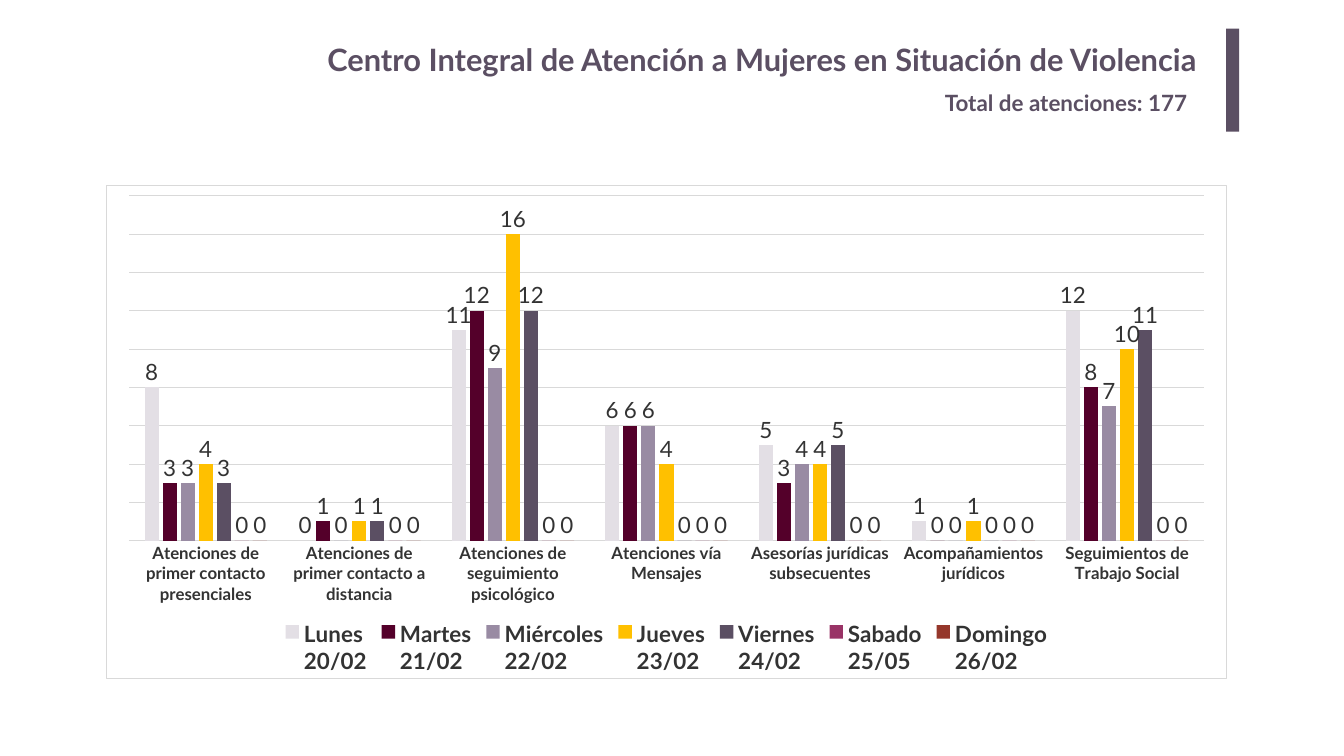
from lxml import etree
from pptx import Presentation
from pptx.chart.data import CategoryChartData
from pptx.dml.color import RGBColor
from pptx.enum.chart import XL_CHART_TYPE, XL_LABEL_POSITION, XL_LEGEND_POSITION, XL_TICK_MARK
from pptx.enum.shapes import MSO_SHAPE
from pptx.enum.text import MSO_ANCHOR, MSO_AUTO_SIZE, PP_ALIGN
from pptx.oxml import parse_xml
from pptx.oxml.ns import nsdecls
from pptx.util import Inches, Pt

FONT = "Lato"
COLORS = {"plum": "5B4F63", "text": "333333", "rule": "D9D9D9", "paper": "FFFFFF"}

SERVICES = [
    "Atenciones de primer contacto presenciales",
    "Atenciones de primer contacto a distancia",
    "Atenciones de seguimiento psicológico",
    "Atenciones vía Mensajes",
    "Asesorías jurídicas subsecuentes",
    "Acompañamientos jurídicos",
    "Seguimientos de Trabajo Social",
]
DAYS = [
    ("Lunes\n20/02", "E3DFE5", (8, 0, 11, 6, 5, 1, 12)),
    ("Martes\n21/02", "54002A", (3, 1, 12, 6, 3, 0, 8)),
    ("Miércoles\n22/02", "998BA3", (3, 0, 9, 6, 4, 0, 7)),
    ("Jueves\n23/02", "FFC000", (4, 1, 16, 4, 4, 1, 10)),
    ("Viernes\n24/02", "5B4F63", (3, 1, 12, 0, 5, 0, 11)),
    ("Sabado\n25/05", "993366", (0,) * 7),
    ("Domingo\n26/02", "95372B", (0,) * 7),
]


def rgb(name):
    return RGBColor.from_string(COLORS[name])


class SlideBuilder:
    def __init__(self, slide):
        self.slide = slide

    def style(self, font, size, color="text", bold=False):
        font.name, font.size, font.bold = FONT, Pt(size), bold
        font.color.rgb = rgb(color)

    def set_text(self, shape, text, size, align, margins):
        frame = shape.text_frame
        frame.word_wrap = True
        frame.auto_size = MSO_AUTO_SIZE.NONE
        frame.vertical_anchor = MSO_ANCHOR.MIDDLE
        frame.margin_left = frame.margin_right = Inches(margins[0])
        frame.margin_top = frame.margin_bottom = Inches(margins[1])
        frame.text = text
        paragraph = frame.paragraphs[0]
        paragraph.alignment = align
        paragraph.space_before = Pt(0)
        self.style(paragraph.font, size, "plum", True)

    def title(self, text, left, top, width, height):
        heading = self.slide.shapes.title
        heading.left, heading.top = Inches(left), Inches(top)
        heading.width, heading.height = Inches(width), Inches(height)
        self.set_text(heading, text, 44, PP_ALIGN.RIGHT, (0.2, 0.1))

    def label(self, text, *box):
        total = self.slide.shapes.add_textbox(*map(Inches, box))
        self.set_text(total, text, 32, PP_ALIGN.LEFT, (0.1, 0.05))

    def bar(self, *box):
        accent = self.slide.shapes.add_shape(MSO_SHAPE.RECTANGLE, *map(Inches, box))
        accent.shadow.inherit = False
        accent.fill.solid()
        accent.fill.fore_color.rgb = rgb("plum")
        accent.line.fill.background()

    def column_chart(self, categories, series, *box):
        data = CategoryChartData()
        data.categories = categories
        for name, _, values in series:
            data.add_series(name, values)
        chart = self.slide.shapes.add_chart(
            XL_CHART_TYPE.COLUMN_CLUSTERED, *map(Inches, box), data).chart
        chart.has_title = False
        self.style(chart.font, 10)
        chart.has_legend = True
        chart.legend.position = XL_LEGEND_POSITION.BOTTOM
        chart.legend.include_in_layout = False
        self.style(chart.legend.font, 32, bold=True)

        plot = chart.plots[0]
        plot.gap_width, plot.overlap, plot.vary_by_categories = 219, -27, False
        for day, (_, color, _) in zip(plot.series, series):
            day.format.fill.solid()
            day.format.fill.fore_color.rgb = RGBColor.from_string(color)
            labels = day.data_labels
            labels.show_value = True
            labels.position = XL_LABEL_POSITION.OUTSIDE_END
            self.style(labels.font, 32)
        self.axes(chart)
        self.frame_chart(chart)

    def axes(self, chart):
        services, counts = chart.category_axis, chart.value_axis
        services.major_tick_mark = services.minor_tick_mark = XL_TICK_MARK.NONE
        self.style(services.tick_labels.font, 24, bold=True)
        counts.visible = False
        counts.minimum_scale, counts.maximum_scale, counts.major_unit = 0, 18, 2
        counts.has_major_gridlines = True
        for line in (services.format.line, counts.major_gridlines.format.line):
            line.color.rgb = rgb("rule")
            line.width = Pt(0.75)

    def frame_chart(self, chart):
        """Give the chart its background and border, and place the plot in it."""
        chart_node = chart.element.find("{*}chart")
        chart_node.addnext(parse_xml(
            f'<c:spPr {nsdecls("c", "a")}>'
            f'<a:solidFill><a:srgbClr val="{COLORS["paper"]}"/></a:solidFill>'
            f'<a:ln w="{Pt(0.75)}"><a:solidFill><a:srgbClr val="{COLORS["rule"]}"/>'
            '</a:solidFill></a:ln></c:spPr>'))
        plot_area = chart_node.find("{*}plotArea")
        for layout in plot_area.findall("{*}layout"):
            plot_area.remove(layout)
        layout = parse_xml(f'<c:layout {nsdecls("c")}><c:manualLayout/></c:layout>')
        settings = {"layoutTarget": "inner", "xMode": "edge", "yMode": "edge",
                    "x": "0.02", "y": "0.02", "w": "0.96", "h": "0.7"}
        for tag, value in settings.items():
            etree.SubElement(layout[0], f"{{{layout.nsmap['c']}}}{tag}", val=value)
        plot_area.insert(0, layout)


def main():
    presentation = Presentation()
    presentation.slide_width, presentation.slide_height = Inches(26.67), Inches(15)
    title_only = presentation.slide_layouts[5]
    builder = SlideBuilder(presentation.slides.add_slide(title_only))
    builder.title("Centro Integral de Atención a Mujeres en Situación de Violencia",
                  3.66, 0.67, 20.3, 1.02)
    builder.bar(24.33, 0.57, 0.26, 2.04)
    builder.label("Total de atenciones: 177", 18.65, 1.71, 5.31, 0.65)
    builder.column_chart(SERVICES, DAYS, 2.11, 3.68, 22.23, 9.79)
    presentation.save("out.pptx")


if __name__ == "__main__":
    main()
